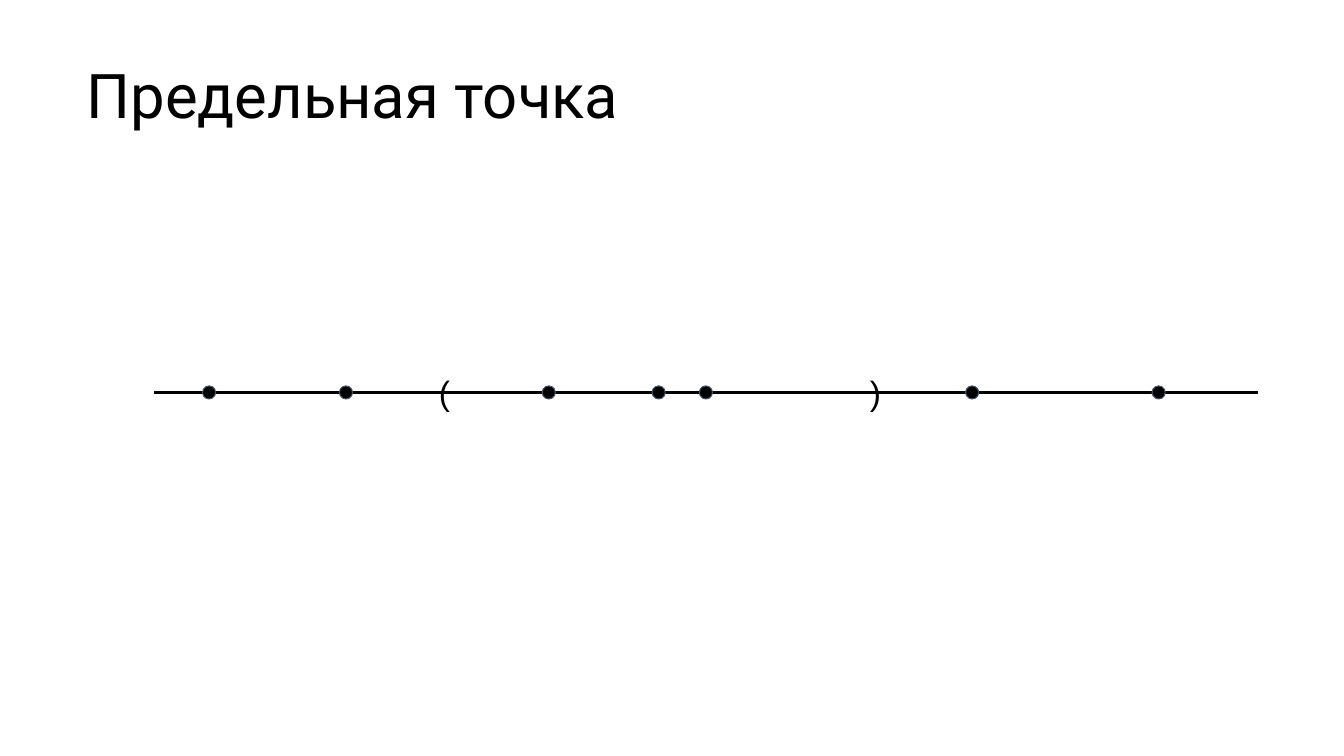
from lxml.etree import SubElement
from pptx import Presentation
from pptx.dml.color import RGBColor
from pptx.enum.shapes import MSO_CONNECTOR as Connector, MSO_SHAPE as Preset
from pptx.enum.text import MSO_ANCHOR as Anchor, MSO_AUTO_SIZE as AutoSize, PP_ALIGN as Align
from pptx.oxml.ns import qn
from pptx.util import Cm, Pt

BLACK = RGBColor(0x00, 0x00, 0x00)
SLATE = RGBColor(0x44, 0x54, 0x6A)

AXIS_Y = 9.89
AXIS_LEFT, AXIS_RIGHT = 3.89, 31.7
POINT_SIZE = 0.33
OUTSIDE_LEFT = [5.27, 8.72]
INSIDE_INTERVAL = [13.83, 16.6, 17.79]
OUTSIDE_RIGHT = [24.5, 29.2]
BRACKET_GAP = 10.86


def add_run(paragraph, text, font_name, size):
    run = paragraph.add_run()
    run.text = text
    run.font.name = font_name
    run.font.size = Pt(size)
    run.font.color.rgb = BLACK


def add_title(slide, text):
    title = slide.shapes.title
    title.left, title.top = Cm(1.93), Cm(1.27)
    title.width, title.height = Cm(30.02), Cm(2.18)
    frame = title.text_frame
    frame.auto_size = AutoSize.NONE
    frame.vertical_anchor = Anchor.BOTTOM
    paragraph = frame.paragraphs[0]
    paragraph.alignment = Align.LEFT
    paragraph.line_spacing = 0.9
    add_run(paragraph, text, "Roboto", 44)


def add_axis(slide):
    axis = slide.shapes.add_connector(
        Connector.STRAIGHT, Cm(AXIS_LEFT), Cm(AXIS_Y), Cm(AXIS_RIGHT), Cm(AXIS_Y))
    axis.line.color.rgb = BLACK
    axis.line.width = Pt(2.25)
    SubElement(axis._element.spPr, qn("a:effectLst"))


def add_point(slide, center):
    point = slide.shapes.add_shape(
        Preset.OVAL, Cm(center - POINT_SIZE / 2), Cm(AXIS_Y - POINT_SIZE / 2),
        Cm(POINT_SIZE), Cm(POINT_SIZE))
    point.shadow.inherit = False
    point.fill.solid()
    point.fill.fore_color.rgb = BLACK
    point.line.color.rgb = SLATE
    point.line.width = Pt(0.75)


def add_interval_brackets(slide):
    box = slide.shapes.add_textbox(Cm(10.57), Cm(9.12), Cm(14.83), Cm(2.18))
    frame = box.text_frame
    frame.word_wrap = True
    frame.margin_left = Cm(0.49)
    frame.margin_top = frame.margin_right = frame.margin_bottom = Cm(0.25)
    paragraph = frame.paragraphs[0]
    tab_list = SubElement(paragraph._p.get_or_add_pPr(), qn("a:tabLst"))
    SubElement(tab_list, qn("a:tab"), pos=str(Cm(BRACKET_GAP)), algn="l")
    add_run(paragraph, "(\t)", "Arial", 24)


def main():
    presentation = Presentation()
    presentation.slide_width, presentation.slide_height = Cm(33.87), Cm(19.05)
    slide = presentation.slides.add_slide(presentation.slide_layouts[5])
    add_title(slide, "Предельная точка")
    add_axis(slide)
    add_interval_brackets(slide)
    for center in OUTSIDE_LEFT + INSIDE_INTERVAL + OUTSIDE_RIGHT:
        add_point(slide, center)
    presentation.save("out.pptx")


if __name__ == "__main__":
    main()
